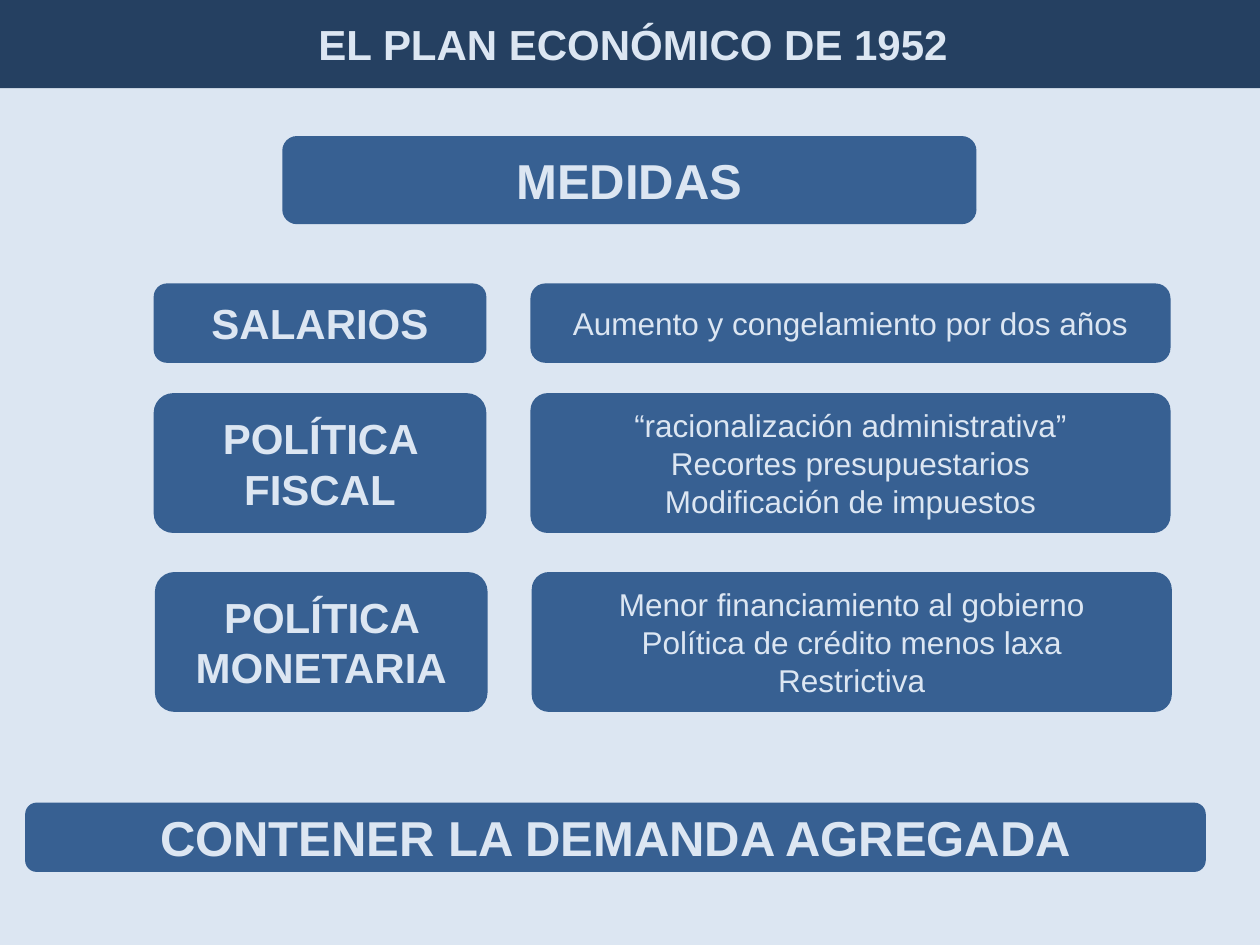
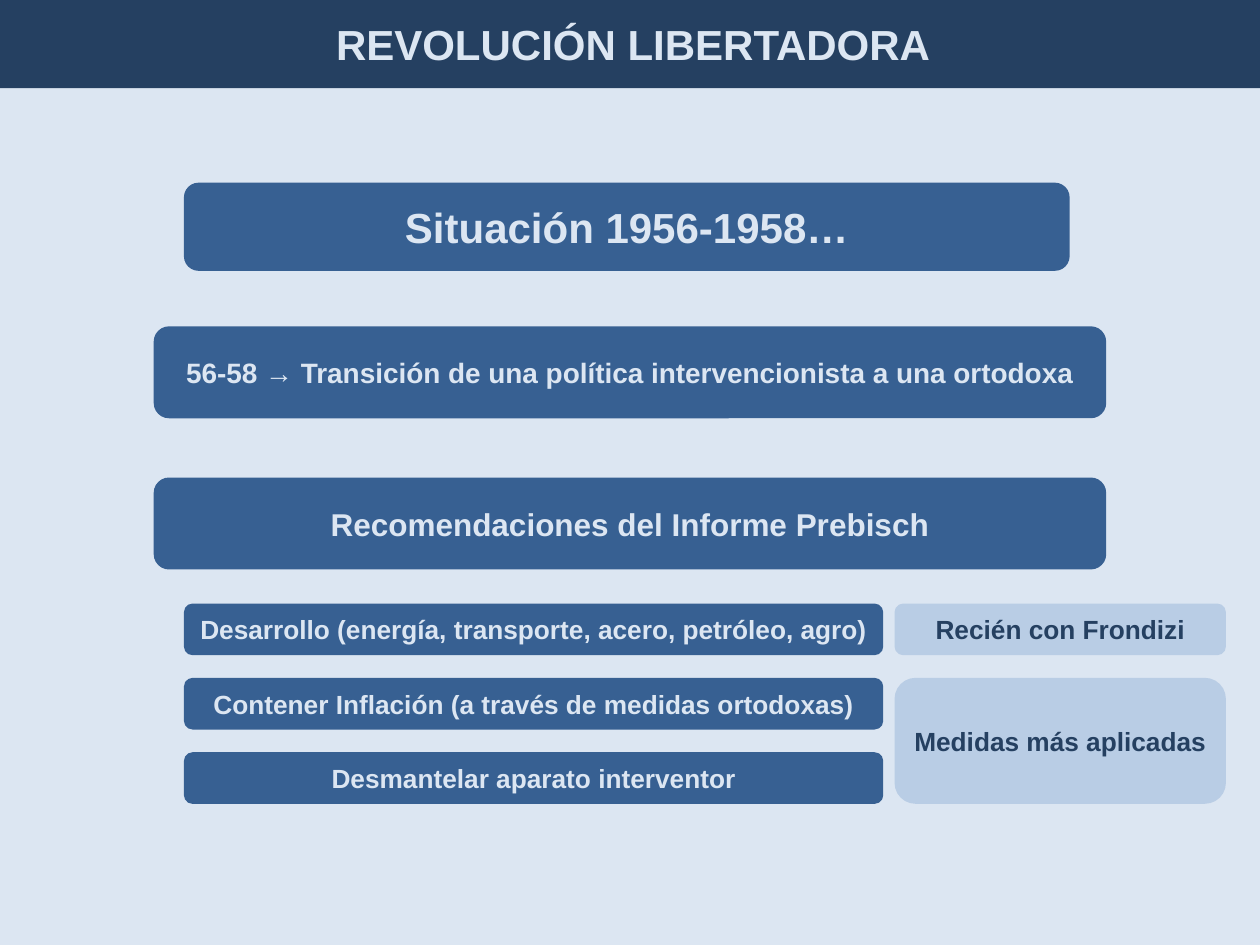
"""Build two slides on Argentine economic policy from 1952 to 1958."""
from pptx import Presentation
from pptx.dml.color import RGBColor
from pptx.enum.shapes import MSO_SHAPE as SHAPE
from pptx.enum.text import MSO_ANCHOR as ANCHOR, PP_ALIGN as ALIGN
from pptx.util import Inches, Pt

COLORS = {"pale": "DCE6F2", "navy": "254061", "blue": "376092", "light": "B9CDE5"}


class Deck:
    """Hold the shared style and the current slide."""

    font = "Arial"

    def __init__(self):
        """Start an empty 4:3 presentation."""
        self.prs = Presentation()
        self.prs.slide_width, self.prs.slide_height = Inches(10), Inches(7.5)

    def color(self, name):
        """Return a palette colour."""
        return RGBColor.from_string(COLORS[name])

    def slide(self, title):
        """Add a slide with its background and title band."""
        self.s = self.prs.slides.add_slide(self.prs.slide_layouts[6])
        fill = self.s.background.fill
        fill.solid()
        fill.fore_color.rgb = self.color("pale")
        self.box(title, 0, 0, 10.05, 0.7, fill="navy", corner=0)

    def box(self, text, x, y, w, h, size=24, bold=True, fill="blue", ink="pale", corner=None):
        """Add a rounded box with centred text, one paragraph a line."""
        sp = self.s.shapes.add_shape(
            SHAPE.ROUNDED_RECTANGLE, Inches(x), Inches(y), Inches(w), Inches(h))
        if corner is not None:
            sp.adjustments[0] = corner
        sp.shadow.inherit = False
        sp.fill.solid()
        sp.fill.fore_color.rgb = self.color(fill)
        sp.line.fill.background()
        tf = sp.text_frame
        tf.word_wrap = True
        tf.vertical_anchor = ANCHOR.MIDDLE
        tf.text = text
        for p in tf.paragraphs:
            p.alignment = ALIGN.CENTER
            for r in p.runs:
                r.font.name, r.font.size, r.font.bold = self.font, Pt(size), bold
                r.font.color.rgb = self.color(ink)

    def measure(self, name, detail, x, y, h, corners):
        """Add a policy name and the box that details it."""
        self.box(name, x, y, 2.64, h, corner=corners[0])
        self.box(detail, x + 2.99, y, 5.08, h, size=18, bold=False, corner=corners[1])

    def note(self, text, y, h):
        """Add a light remark beside the recommendations."""
        self.box(text, 7.1, y, 2.63, h, size=15, fill="light", ink="navy")


def plan_1952(deck):
    """Build the slide on the 1952 plan."""
    deck.slide("EL PLAN ECONÓMICO DE 1952")
    deck.box("MEDIDAS", 2.24, 1.08, 5.51, 0.7, size=28)
    tall = (0.14, 0.123)
    deck.measure("SALARIOS", "Aumento y congelamiento por dos años", 1.22, 2.25, 0.63, (None, 0.188))
    deck.measure(
        "POLÍTICA FISCAL",
        "“racionalización administrativa”\nRecortes presupuestarios\nModificación de impuestos",
        1.22, 3.12, 1.11, tall)
    deck.measure(
        "POLÍTICA MONETARIA",
        "Menor financiamiento al gobierno\nPolítica de crédito menos laxa\nRestrictiva",
        1.23, 4.54, 1.11, tall)
    deck.box("CONTENER LA DEMANDA AGREGADA", 0.2, 6.37, 9.37, 0.55, size=28)


def revolucion_libertadora(deck):
    """Build the slide on the 1956-1958 period."""
    deck.slide("REVOLUCIÓN LIBERTADORA")
    deck.box("Situación 1956-1958…", 1.46, 1.45, 7.03, 0.7)
    deck.box("56-58 → Transición de una política intervencionista a una ortodoxa",
             1.22, 2.59, 7.56, 0.73, size=16)
    deck.box("Recomendaciones del Informe Prebisch", 1.22, 3.79, 7.56, 0.73, size=18)
    top, step, height = 4.79, 0.59, 0.41
    recommendations = (
        "Desarrollo (energía, transporte, acero, petróleo, agro)",
        "Contener Inflación (a través de medidas ortodoxas)",
        "Desmantelar aparato interventor",
    )
    for i, text in enumerate(recommendations):
        deck.box(text, 1.46, top + i * step, 5.55, height, size=15)
    deck.note("Recién con Frondizi", top, height)
    deck.note("Medidas más aplicadas", top + step, step + height)


def main():
    """Build and save the presentation."""
    deck = Deck()
    plan_1952(deck)
    revolucion_libertadora(deck)
    deck.prs.save("out.pptx")


if __name__ == "__main__":
    main()
